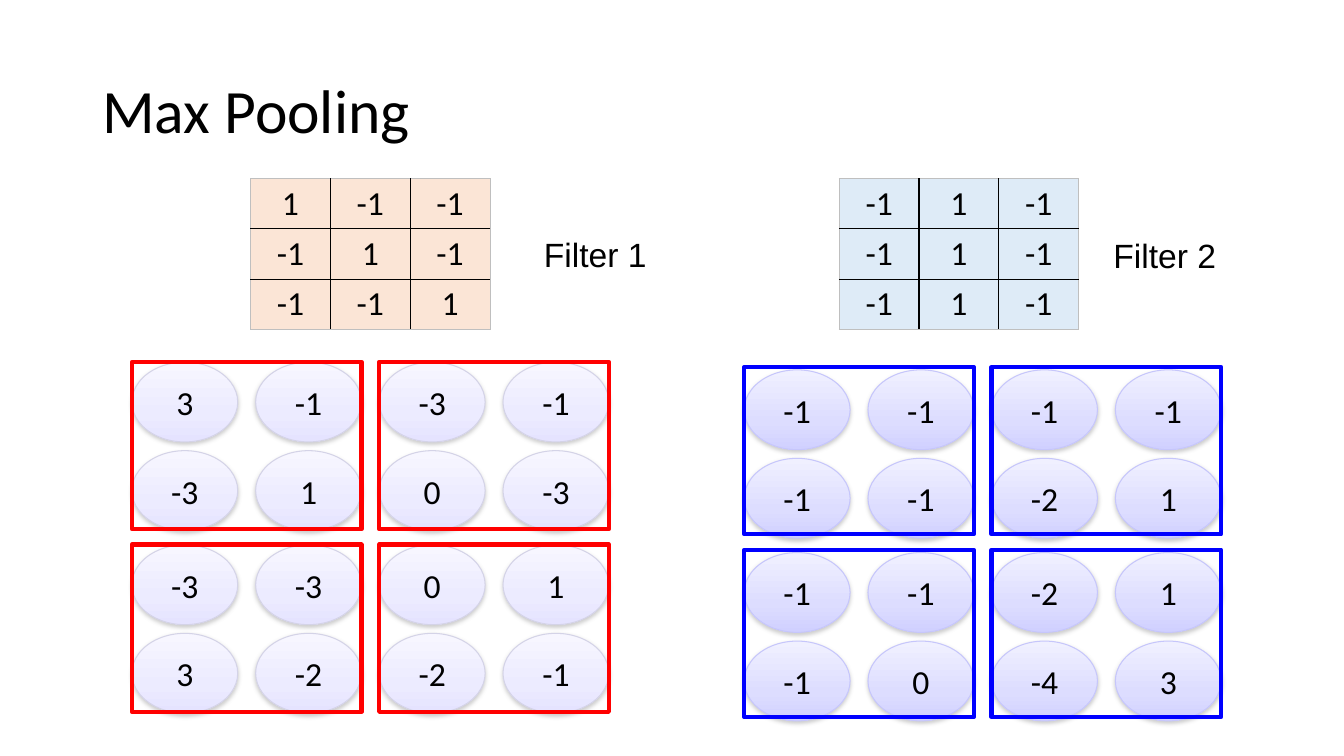
from dataclasses import dataclass
from itertools import product

from lxml.etree import SubElement
from pptx import Presentation
from pptx.dml.color import RGBColor
from pptx.enum.shapes import MSO_SHAPE as Preset
from pptx.enum.text import MSO_ANCHOR as Anchor, PP_ALIGN as Align
from pptx.oxml.ns import qn
from pptx.util import Pt


@dataclass(frozen=True)
class Theme:
    """Colours, fonts and type sizes of the slide."""
    ink: str = "000000"
    edge: str = "BFBFBF"
    shadow: str = "808080"
    body_font: str = "Calibri"
    label_font: str = "Arial"
    title_size: int = 44
    body_size: int = 24


@dataclass(frozen=True)
class Palette:
    """Colours of one filter and its feature map."""
    kernel: str
    window: str
    outline: str
    gradient: tuple


THEME = Theme()
ORANGE = Palette("FBE5D6", "FF0000", "D4D3E7", ((0, "F7F6FF"), (65, "ECEBFF"), (100, "E5E3FF")))
BLUE = Palette("DEEBF7", "0000FF", "C6C6FB", ((0, "F0F0FF"), (65, "DDDDFF"), (100, "D0D0FF")))

KERNEL_1 = ((1, -1, -1), (-1, 1, -1), (-1, -1, 1))
KERNEL_2 = ((-1, 1, -1),) * 3
MAP_1 = ((3, -1, -3, -1), (-3, 1, 0, -3), (-3, -3, 0, 1), (3, -2, -2, -1))
MAP_2 = ((-1, -1, -1, -1), (-1, -1, -2, 1), (-1, -1, -2, 1), (-1, 0, -4, 3))


def put_text(frame, text, font=THEME.body_font, size=THEME.body_size,
             align=Align.CENTER, anchor=None, spacing=None):
    """Write one formatted paragraph into a text frame."""
    frame.word_wrap = True
    if anchor is not None:
        frame.vertical_anchor = anchor
    paragraph = frame.paragraphs[0]
    paragraph.alignment = align
    paragraph.line_spacing = spacing
    run = paragraph.add_run()
    run.text = text
    run.font.name = font
    run.font.size = Pt(size)
    run.font.color.rgb = RGBColor.from_string(THEME.ink)


def add_label(slide, box, text, **text_format):
    """Place a text box holding one line."""
    label = slide.shapes.add_textbox(*map(Pt, box))
    put_text(label.text_frame, text, **text_format)


def add_outlined(slide, preset, box, colour, width):
    """Place an outlined preset shape without a shadow."""
    outlined = slide.shapes.add_shape(preset, *map(Pt, box))
    outlined.shadow.inherit = False
    outlined.line.color.rgb = RGBColor.from_string(colour)
    outlined.line.width = Pt(width)
    return outlined


def add_colour(parent, colour):
    """Append an RGB colour element and return it."""
    return SubElement(parent, qn("a:srgbClr"), val=colour)


def add_neuron(slide, box, value, palette):
    """Place one shaded value of a feature map."""
    neuron = add_outlined(slide, Preset.OVAL, box, palette.outline, 0.75)
    neuron.fill.gradient()
    neuron.fill.gradient_angle = 270
    properties = neuron._element.spPr
    stops = properties.find(qn("a:gradFill")).find(qn("a:gsLst"))
    stops.clear()
    for percent, colour in palette.gradient:
        add_colour(SubElement(stops, qn("a:gs"), pos=str(percent * 1000)), colour)
    shade = SubElement(properties.find(qn("a:effectLst")), qn("a:outerShdw"),
                       blurRad=str(Pt(3.1)), dist=str(Pt(1.6)), dir="5400000", rotWithShape="0")
    SubElement(add_colour(shade, THEME.shadow), qn("a:alpha"), val="38000")
    put_text(neuron.text_frame, str(value), anchor=Anchor.MIDDLE)


def add_border(cell, side, inner):
    """Draw one side of a table cell, dark inside and pale outside."""
    line = SubElement(cell._tc.get_or_add_tcPr(), qn(f"a:ln{side}"),
                      w=str(Pt(1 if inner else 0.5)))
    add_colour(SubElement(line, qn("a:solidFill")), THEME.ink if inner else THEME.edge)


def add_kernel(slide, box, weights, palette):
    """Place the table of filter weights."""
    count = len(weights)
    left, top, width, height = box
    kernel = slide.shapes.add_table(count, count, *map(Pt, box)).table
    kernel.first_row = kernel.horz_banding = False
    for index in range(count):
        kernel.columns[index].width = Pt(width / count)
        kernel.rows[index].height = Pt(height / count)
    for row, column in product(range(count), repeat=2):
        cell = kernel.cell(row, column)
        cell.margin_left = cell.margin_right = Pt(9.6)
        cell.margin_top = cell.margin_bottom = Pt(3.4)
        inner_sides = {"L": column > 0, "R": column < count - 1,
                       "T": row > 0, "B": row < count - 1}
        for side, inner in inner_sides.items():
            add_border(cell, side, inner)
        cell.fill.solid()
        cell.fill.fore_color.rgb = RGBColor.from_string(palette.kernel)
        put_text(cell.text_frame, str(weights[row][column]))


def add_feature_map(slide, box, values, palette, window_rise):
    """Place the feature map and its 2 by 2 pooling windows."""
    left, top, width, height = box
    neuron_width, neuron_height = 75.6, 57
    window_width, window_height = 164, 119.5
    pool_x, pool_y = width - window_width, height - window_height
    step_x, step_y = window_width - neuron_width, 63.2
    for row, column in product(range(4), repeat=2):
        x = left + column // 2 * pool_x + column % 2 * step_x
        y = top + row // 2 * pool_y + row % 2 * step_y
        add_neuron(slide, (x, y, neuron_width, neuron_height), values[row][column], palette)
    for row, column in product(range(2), repeat=2):
        corner = left + column * pool_x, top - window_rise + row * pool_y
        window = add_outlined(slide, Preset.RECTANGLE, (*corner, window_width, window_height),
                              palette.window, 3)
        window.fill.background()


def build_pooling_slide(slide, box):
    """Lay out the title and both filters with their feature maps."""
    left, top, width, height = box
    add_label(slide, (left + 66, top + 28.8, width - 132, 104.4), "Max Pooling",
              size=THEME.title_size, align=Align.LEFT, anchor=Anchor.MIDDLE, spacing=0.9)
    add_kernel(slide, (left + 179, top + 127.5, 171, 108), KERNEL_1, ORANGE)
    add_kernel(slide, (left + 599.5, top + 127.5, 171, 108), KERNEL_2, BLUE)
    add_label(slide, (left + 349.2, top + 163.5, 152, 36.7), "Filter 1", font=THEME.label_font)
    add_label(slide, (left + 756, top + 164.2, 152, 36.7), "Filter 2", font=THEME.label_font)
    add_feature_map(slide, (left + 94.2, top + 258.7, 340.7, 250), MAP_1, ORANGE, 0.2)
    add_feature_map(slide, (left + 531.6, top + 264.2, 340.7, 250), MAP_2, BLUE, 2)


def main():
    """Create the presentation and save it."""
    deck = Presentation()
    deck.slide_width, deck.slide_height = Pt(960), Pt(540)
    slide = deck.slides.add_slide(deck.slide_layouts[6])
    build_pooling_slide(slide, (0, 0, 960, 540))
    deck.save("out.pptx")


if __name__ == "__main__":
    main()
